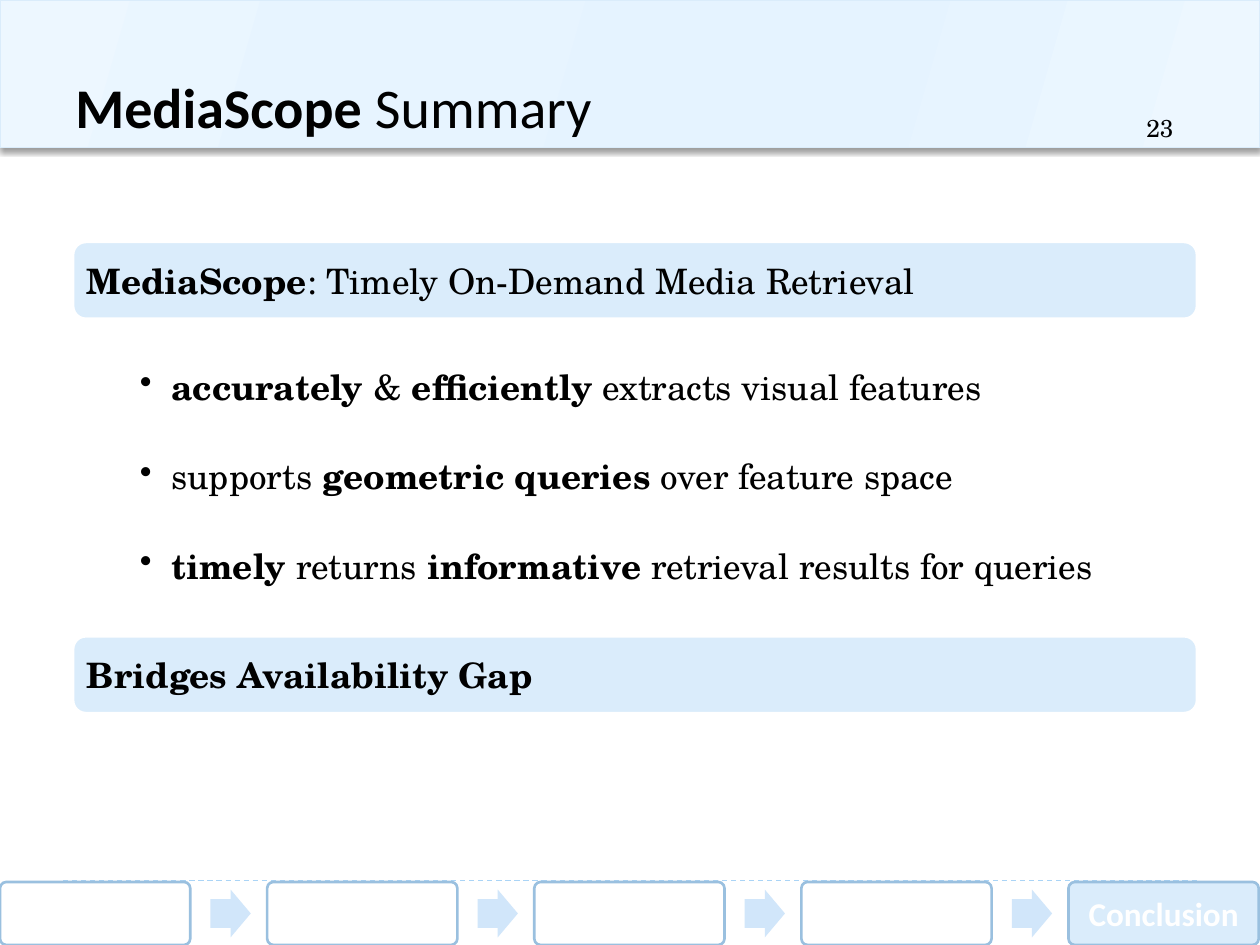
from lxml import etree
from pptx import Presentation
from pptx.dml.color import RGBColor
from pptx.enum.dml import MSO_LINE
from pptx.enum.shapes import MSO_CONNECTOR, MSO_SHAPE
from pptx.enum.text import MSO_ANCHOR, PP_ALIGN
from pptx.oxml.ns import nsdecls, qn
from pptx.oxml import parse_xml
from pptx.util import Inches, Pt

RECT, ROUND, ARROW = MSO_SHAPE.RECTANGLE, MSO_SHAPE.ROUNDED_RECTANGLE, MSO_SHAPE.RIGHT_ARROW
STRAIGHT, DASH = MSO_CONNECTOR.STRAIGHT, MSO_LINE.DASH
TOP, MIDDLE, BOTTOM = MSO_ANCHOR.TOP, MSO_ANCHOR.MIDDLE, MSO_ANCHOR.BOTTOM
LEFT, CENTER = PP_ALIGN.LEFT, PP_ALIGN.CENTER
HEAD_FONT, BODY_FONT = "Calibri", "TeX Gyre Schola"
BLACK, WHITE, PALE, EDGE, ARROW_BLUE, RULE = (
    "000000", "FFFFFF", "DAECFB", "9AC0DF", "D1E6FA", "AAD4F6")

TITLE = [("MediaScope", True), (" Summary", False)]
PAGE = [("23", False)]
BANDS = [
    (1.92, [("MediaScope", True), (": Timely On-Demand Media Retrieval", False)]),
    (5.05, [("Bridges Availability Gap", True)]),
]
POINTS = [
    [("accurately ", True), ("& ", False), ("efficiently", True),
     (" extracts visual features", False)],
    [("supports", False), (" geometric queries ", True), ("over feature space", False)],
    [("timely ", True), ("returns ", False), ("informative", True),
     (" retrieval results for queries", False)],
]
STAGES = ["", "", "", "", "Conclusion"]
BANNER_STOPS = [(0, "EDF7FF"), (30, "E7F4FF"), (45, "E5F3FF"),
                (55, "E5F3FF"), (73, "E7F4FF"), (100, "EDF7FF")]
BODY_LEFT, BODY_WIDTH, BAND_HEIGHT = 0.58, 8.92, 0.61
STAGE_TOP, STAGE_PITCH = 7, 2.12


def color(value):
    return RGBColor.from_string(value)


def add_rule(slide, y):
    rule = slide.shapes.add_connector(STRAIGHT, Inches(0.5), Inches(y), Inches(9.5), Inches(y))
    rule.line.color.rgb = color(RULE)
    rule.line.width = Pt(0.75)
    rule.line.dash_style = DASH
    etree.SubElement(rule._element.spPr, qn("a:effectLst"))


def add_block(slide, kind, box, fill, edge=None, weight=1.5, adjust=()):
    block = slide.shapes.add_shape(kind, *map(Inches, box))
    block.shadow.inherit = False
    block.fill.solid()
    block.fill.fore_color.rgb = color(fill)
    if edge:
        block.line.color.rgb = color(edge)
        block.line.width = Pt(weight)
    else:
        block.line.fill.background()
    for index, value in enumerate(adjust):
        block.adjustments[index] = value
    return block


def set_frame(shape, anchor, insets=(0.1, 0.05, 0.1, 0.05)):
    frame = shape.text_frame
    frame.word_wrap = True
    frame.vertical_anchor = anchor
    (frame.margin_left, frame.margin_top,
     frame.margin_right, frame.margin_bottom) = map(Inches, insets)
    return frame


def write(paragraph, runs, font, size, ink=BLACK, align=LEFT):
    paragraph.alignment = align
    paragraph.font.name = font
    paragraph.font.size = Pt(size)
    paragraph.font.color.rgb = color(ink)
    for words, bold in runs:
        run = paragraph.add_run()
        run.text = words
        run.font.bold = bold


def add_text(slide, box, anchor):
    return set_frame(slide.shapes.add_textbox(*map(Inches, box)), anchor)


def add_banner(slide):
    banner = add_block(slide, RECT, (0, 0, 10, 1.17), PALE, PALE, 0.75)
    stops = "".join(f'<a:gs pos="{at * 1000}"><a:srgbClr val="{tint}"/></a:gs>'
                    for at, tint in BANNER_STOPS)
    properties = banner._element.spPr
    properties.replace(properties.find(qn("a:solidFill")), parse_xml(
        f'<a:gradFill {nsdecls("a")} rotWithShape="1"><a:gsLst>{stops}</a:gsLst>'
        '<a:lin ang="960000" scaled="0"/></a:gradFill>'))
    properties.find(qn("a:effectLst")).append(parse_xml(
        f'<a:outerShdw {nsdecls("a")} blurRad="{Pt(3)}" dist="{Pt(2)}" dir="5400000" '
        'rotWithShape="0"><a:srgbClr val="000000"><a:alpha val="40000"/></a:srgbClr>'
        '</a:outerShdw>'))


def add_points(slide):
    top = BANDS[0][0] + BAND_HEIGHT
    frame = add_text(slide, (BODY_LEFT, top, BODY_WIDTH, BANDS[1][0] - top), MIDDLE)
    frame.margin_left, frame.margin_right = Inches(0.28), Inches(0.16)
    for index, runs in enumerate(POINTS):
        point = frame.add_paragraph() if index else frame.paragraphs[0]
        properties = point._p.get_or_add_pPr()
        properties.set("marL", str(Inches(0.5)))
        properties.set("indent", str(Inches(-0.25)))
        etree.SubElement(properties, qn("a:buChar")).set("char", "•")
        point.line_spacing = Pt(22)
        if index:
            point.space_before = Pt(29)
        write(point, runs, BODY_FONT, 20)


def add_stages(slide):
    for index, name in enumerate(STAGES):
        left = index * STAGE_PITCH
        stage = add_block(slide, ROUND, (left, STAGE_TOP, 1.51, 0.5),
                          PALE if name else WHITE, EDGE, adjust=(0.1,))
        if name:
            frame = set_frame(stage, MIDDLE, (0, 0, 0, 0))
            write(frame.paragraphs[0], [(name, True)], HEAD_FONT, 19, WHITE, CENTER)
        if index < len(STAGES) - 1:
            add_block(slide, ARROW, (left + 1.67, STAGE_TOP + 0.06, 0.32, 0.38),
                      ARROW_BLUE, adjust=(0.6, 0.5))


def main():
    """Build the summary slide and save it."""
    deck = Presentation()
    deck.slide_width, deck.slide_height = Inches(10), Inches(7.5)
    slide = deck.slides.add_slide(deck.slide_layouts[6])
    for y in (6.99, 1.17):
        add_rule(slide, y)
    add_banner(slide)
    title = add_text(slide, (0.5, 0.33, 9, 0.83), BOTTOM)
    write(title.paragraphs[0], TITLE, HEAD_FONT, 32)
    page = add_text(slide, (9, 0.85, 0.9, 0.4), TOP)
    write(page.paragraphs[0], PAGE, BODY_FONT, 14)
    add_stages(slide)
    for top, runs in BANDS:
        band = add_block(slide, ROUND, (BODY_LEFT, top, BODY_WIDTH, BAND_HEIGHT), PALE, WHITE)
        frame = set_frame(band, MIDDLE, (0.08, 0.08, 0.08, 0.08))
        write(frame.paragraphs[0], runs, BODY_FONT, 20)
    add_points(slide)
    deck.save("out.pptx")


if __name__ == "__main__":
    main()
